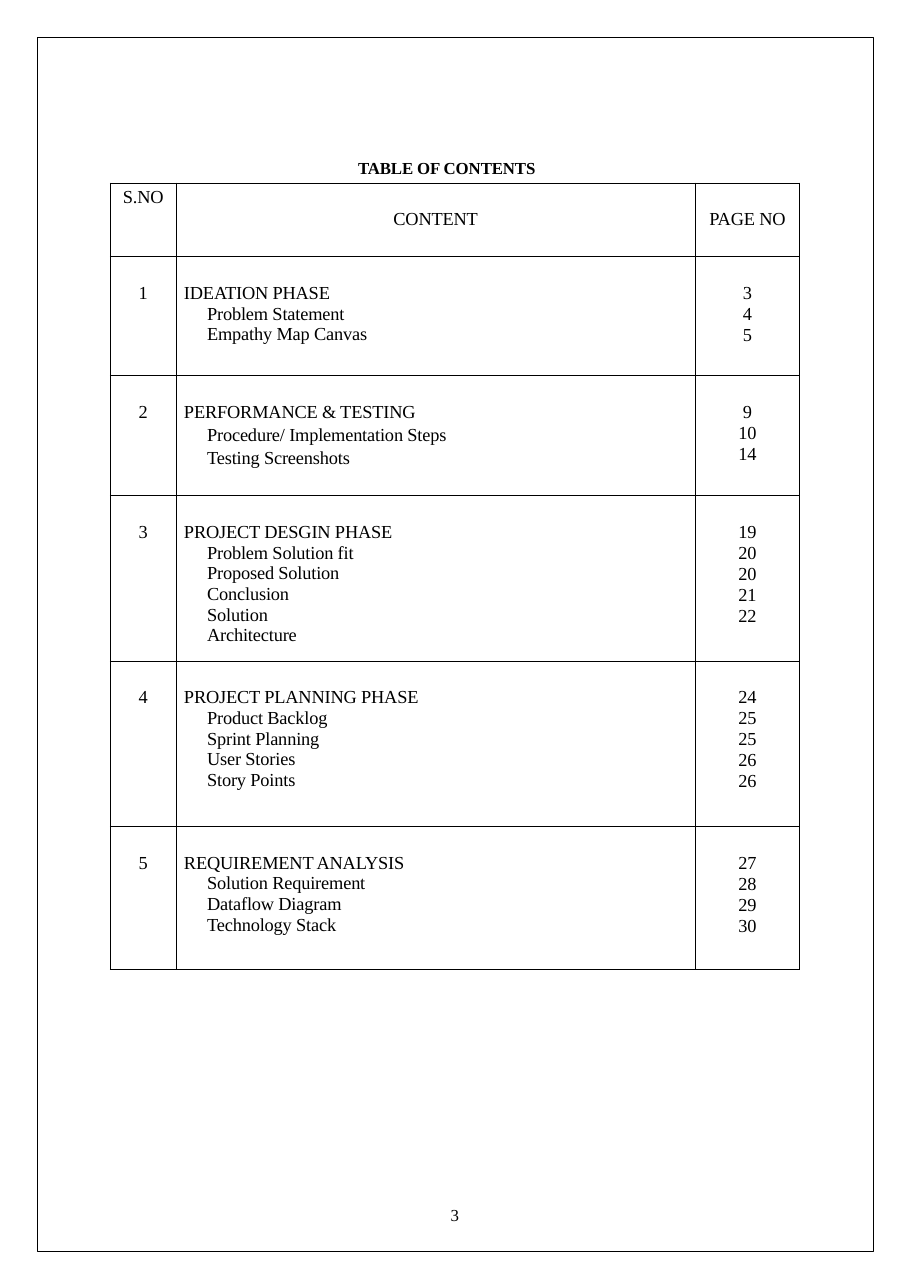
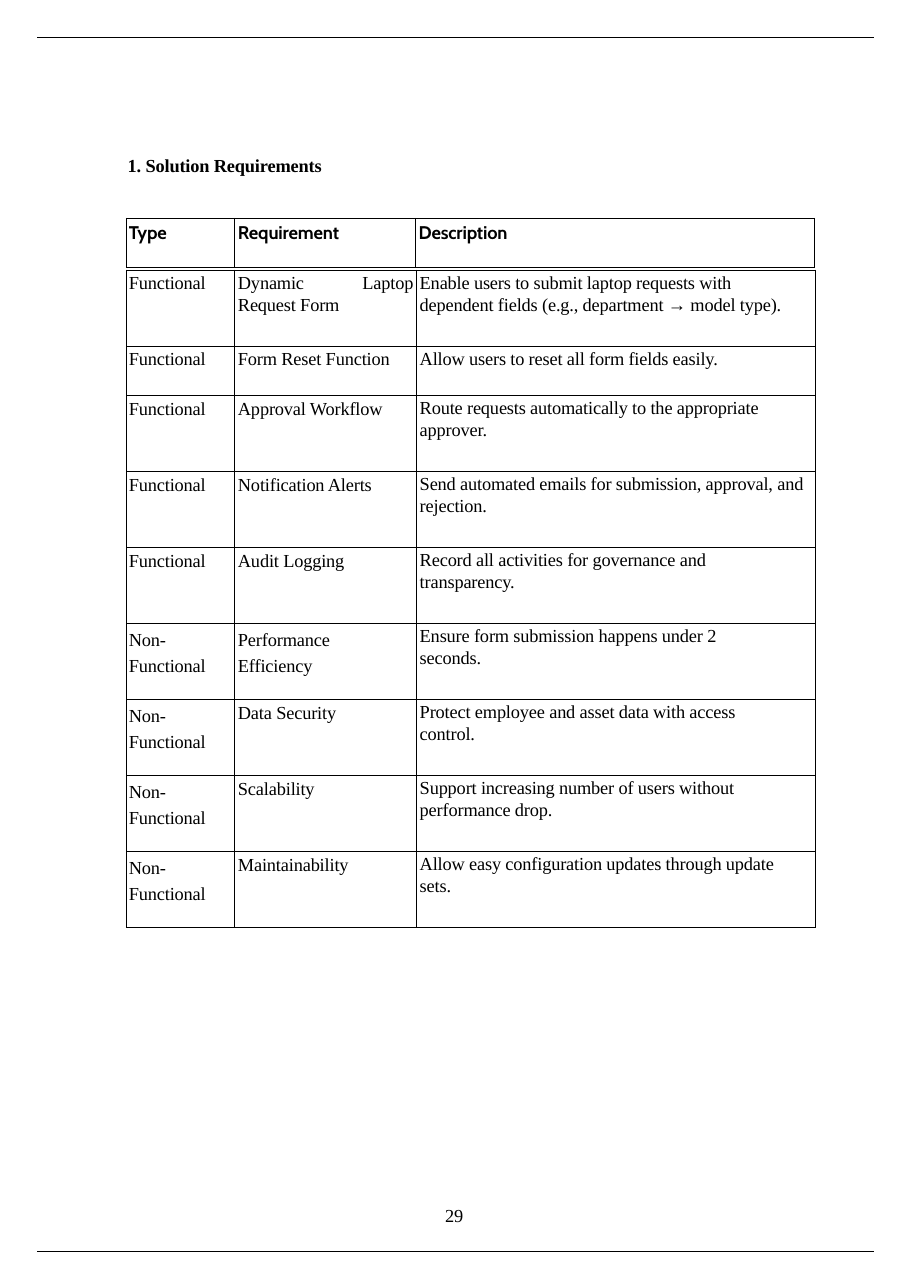
from dataclasses import dataclass, field
from typing import Optional, Union

from lxml import etree
from pptx import Presentation
from pptx import util as u
from pptx.dml.color import RGBColor
from pptx.enum import shapes, text
from pptx.oxml import ns


@dataclass(frozen=True)
class Theme:
    ink: str = "000000"
    serif: str = "Times New Roman"
    sans: str = "Cabin"
    body: float = 12
    small: float = 11
    rule: float = 0.5
    frame: float = 0.75
    tracking: float = -0.1


@dataclass(frozen=True)
class Line:
    """One paragraph; a line feed inside the words is a line break."""
    words: str
    indent: float = 0
    spacing: Optional[Union[float, u.Pt]] = None
    before: float = 0
    centred: bool = False
    tab: Optional[float] = None


@dataclass(frozen=True)
class Style:
    size: float
    font: str
    bold: bool = False


@dataclass(frozen=True)
class Cell:
    lines: list[Line]
    top: float = 0.03
    style: Style = field(default_factory=lambda: BODY)


@dataclass(frozen=True)
class Phase:
    name: str
    topics: list[str]
    pages: list[int]
    height: float
    spacing: Optional[u.Pt] = None


THEME = Theme()
BODY = Style(THEME.body, THEME.serif)
HEADING = Style(THEME.body, THEME.serif, True)
SMALL_HEADING = Style(THEME.small, THEME.serif, True)
SMALL = Style(THEME.small, THEME.serif)
TABLE_HEADER = Style(THEME.body, THEME.sans, True)

WIDTH, HEIGHT, EDGE = 8.26, 11.69, 0.34
FOOTER_TOP = 10.93

PHASES = [
    Phase("IDEATION PHASE", ["Problem Statement", "Empathy Map Canvas"], [3, 4, 5], 1.08),
    Phase("PERFORMANCE & TESTING",
          ["Procedure/ Implementation Steps", "Testing Screenshots"],
          [9, 10, 14], 1.09, u.Pt(15)),
    Phase("PROJECT DESGIN PHASE",
          ["Problem Solution fit", "Proposed Solution", "Conclusion", "Solution", "Architecture"],
          [19, 20, 20, 21, 22], 1.5),
    Phase("PROJECT PLANNING PHASE",
          ["Product Backlog", "Sprint Planning", "User Stories", "Story Points"],
          [24, 25, 25, 26, 26], 1.5),
    Phase("REQUIREMENT ANALYSIS",
          ["Solution Requirement", "Dataflow Diagram", "Technology Stack"],
          [27, 28, 29, 30], 1.3),
]

FUNCTIONAL, NON_FUNCTIONAL = "Functional", "Non-\nFunctional"
REQUIREMENTS = [
    (FUNCTIONAL, "Dynamic\tLaptop\nRequest Form",
     "Enable users to submit laptop requests with\n"
     "dependent fields (e.g., department → model type)."),
    (FUNCTIONAL, "Form Reset Function", "Allow users to reset all form fields easily."),
    (FUNCTIONAL, "Approval Workflow",
     "Route requests automatically to the appropriate\napprover."),
    (FUNCTIONAL, "Notification Alerts",
     "Send automated emails for submission, approval, and\nrejection."),
    (FUNCTIONAL, "Audit Logging", "Record all activities for governance and\ntransparency."),
    (NON_FUNCTIONAL, "Performance\nEfficiency",
     "Ensure form submission happens under 2\nseconds."),
    (NON_FUNCTIONAL, "Data Security",
     "Protect employee and asset data with access\ncontrol."),
    (NON_FUNCTIONAL, "Scalability",
     "Support increasing number of users without\nperformance drop."),
    (NON_FUNCTIONAL, "Maintainability",
     "Allow easy configuration updates through update\nsets."),
]


# Text
def write(frame, lines: list[Line], style: Style, top: float) -> None:
    margins = {"margin_left": 0, "margin_right": 0, "margin_bottom": 0,
               "margin_top": u.Inches(top), "word_wrap": True}
    for name, value in margins.items():
        setattr(frame, name, value)
    for index, line in enumerate(lines):
        paragraph = frame.paragraphs[0] if index == 0 else frame.add_paragraph()
        layout = {"line_spacing": line.spacing, "space_before": u.Pt(line.before),
                  "alignment": text.PP_ALIGN.CENTER if line.centred else text.PP_ALIGN.LEFT}
        for name, value in layout.items():
            setattr(paragraph, name, value)
        properties = paragraph._p.get_or_add_pPr()
        properties.set("marL", str(int(u.Inches(line.indent))))
        if line.tab:
            tabs = etree.SubElement(properties, ns.qn("a:tabLst"))
            etree.SubElement(tabs, ns.qn("a:tab"), pos=str(int(u.Inches(line.tab))), algn="l")
        for number, words in enumerate(line.words.split("\n")):
            if number:
                paragraph.add_line_break()
            run = paragraph.add_run()
            run.text = words
            formats = {"size": u.Pt(style.size), "name": style.font, "bold": style.bold}
            for name, value in formats.items():
                setattr(run.font, name, value)
            run.font.color.rgb = RGBColor.from_string(THEME.ink)
            run._r.get_or_add_rPr().set("spc", str(round(THEME.tracking * 100)))


def add_text(slide, words: str, left: float, top: float, width: float,
             style: Style, inset: float = 0) -> None:
    box = slide.shapes.add_textbox(*map(u.Inches, (left, top, width, 0.22)))
    write(box.text_frame, [Line(words)], style, inset)


# Page frame
def add_rule(slide, top: float) -> None:
    line = slide.shapes.add_connector(
        shapes.MSO_CONNECTOR.STRAIGHT,
        *map(u.Inches, (EDGE, top, WIDTH - EDGE + 0.01, top)))
    line.line.width = u.Pt(THEME.frame)
    line.line.color.rgb = RGBColor.from_string(THEME.ink)
    etree.SubElement(line._element.spPr, ns.qn("a:effectLst"))


def add_border(slide) -> None:
    border = slide.shapes.add_shape(
        shapes.MSO_SHAPE.RECTANGLE,
        *map(u.Inches, (EDGE, EDGE, WIDTH - 2 * EDGE + 0.01, HEIGHT - 2 * EDGE + 0.01)))
    border.shadow.inherit = False
    border.fill.background()
    border.line.width = u.Pt(THEME.frame)
    border.line.color.rgb = RGBColor.from_string(THEME.ink)


# Tables
def outline(cell) -> None:
    properties = cell._tc.get_or_add_tcPr()
    for side in ("lnL", "lnR", "lnT", "lnB"):
        line = etree.SubElement(properties, ns.qn(f"a:{side}"), w=str(int(u.Pt(THEME.rule))))
        fill = etree.SubElement(line, ns.qn("a:solidFill"))
        etree.SubElement(fill, ns.qn("a:srgbClr"), val=THEME.ink)


def add_grid(slide, left: float, top: float, widths: list[float],
             heights: list[float], rows: list[list[Cell]]) -> None:
    table = slide.shapes.add_table(
        len(rows), len(widths),
        *map(u.Inches, (left, top, sum(widths), sum(heights)))).table
    table.first_row = table.horz_banding = False
    for column, width in zip(table.columns, widths):
        column.width = u.Inches(width)
    for row, height, contents in zip(table.rows, heights, rows):
        row.height = u.Inches(height)
        for cell, content in zip(row.cells, contents):
            outline(cell)
            cell.fill.background()
            cell.vertical_anchor = text.MSO_ANCHOR.TOP
            write(cell.text_frame, content.lines, content.style, content.top)
            margins = {"margin_left": 0, "margin_right": 0, "margin_bottom": 0,
                       "margin_top": u.Inches(content.top)}
            for name, value in margins.items():
                setattr(cell, name, value)


def phase_row(number: int, phase: Phase) -> list[Cell]:
    top = 0.24
    topics = [Line(topic, 0.28, phase.spacing, 0.2) for topic in phase.topics]
    pages = [Line(str(page), before=0.4, centred=True) for page in phase.pages]
    return [Cell([Line(str(number), centred=True)], top),
            Cell([Line(phase.name, 0.07), *topics], top),
            Cell(pages, top)]


def requirement_row(kind: str, name: str, description: str) -> list[Cell]:
    def spaced(words: str, indent: float, spacing, tab: Optional[float] = None) -> Cell:
        if "\n" not in words:
            return Cell([Line(words, indent)])
        return Cell([Line(words, indent, spacing, tab=tab)], 0.01)

    has_tab = "\t" in name
    return [spaced(kind, 0.02, u.Pt(17)),
            spaced(name, 0.03, 1.09 if has_tab else u.Pt(17), 1.13 if has_tab else None),
            spaced(description, 0.03, 1.09)]


# Slides
def build_contents(slide) -> None:
    add_border(slide)
    add_text(slide, "TABLE OF CONTENTS", 3.25, 1.42, 2, SMALL_HEADING, 0.01)
    header = [Cell([Line(words, centred=True)], top)
              for words, top in (("S.NO", 0.04), ("CONTENT", 0.24), ("PAGE NO", 0.24))]
    rows = [phase_row(number, phase) for number, phase in enumerate(PHASES, 1)]
    add_grid(slide, 1, 1.66, [0.6, 4.71, 0.95],
             [0.67, *(phase.height for phase in PHASES)], [header, *rows])
    add_text(slide, "3", 4.09, FOOTER_TOP, 0.25, SMALL)


def build_requirements(slide) -> None:
    for top in (EDGE, HEIGHT - EDGE + 0.01):
        add_rule(slide, top)
    add_text(slide, "1. Solution Requirements", 1.16, 1.39, 2.2, HEADING, 0.01)
    header = [Cell([Line(words, indent)], style=TABLE_HEADER)
              for words, indent in (("Type", 0.02), ("Requirement", 0.03), ("Description", 0.03))]
    add_grid(slide, 1.15, 1.98, [0.98, 1.64, 3.62], [0.45], [header])
    heights = [0.69 if "\n" in description else 0.45 for _, _, description in REQUIREMENTS]
    add_grid(slide, 1.15, 2.45, [0.98, 1.65, 3.62], heights,
             [requirement_row(*requirement) for requirement in REQUIREMENTS])
    add_text(slide, "29", 4.04, FOOTER_TOP, 0.25, BODY)


def main() -> None:
    presentation = Presentation()
    presentation.slide_width = u.Inches(WIDTH)
    presentation.slide_height = u.Inches(HEIGHT)
    for build in (build_contents, build_requirements):
        build(presentation.slides.add_slide(presentation.slide_layouts[6]))
    presentation.save("out.pptx")


if __name__ == "__main__":
    main()
